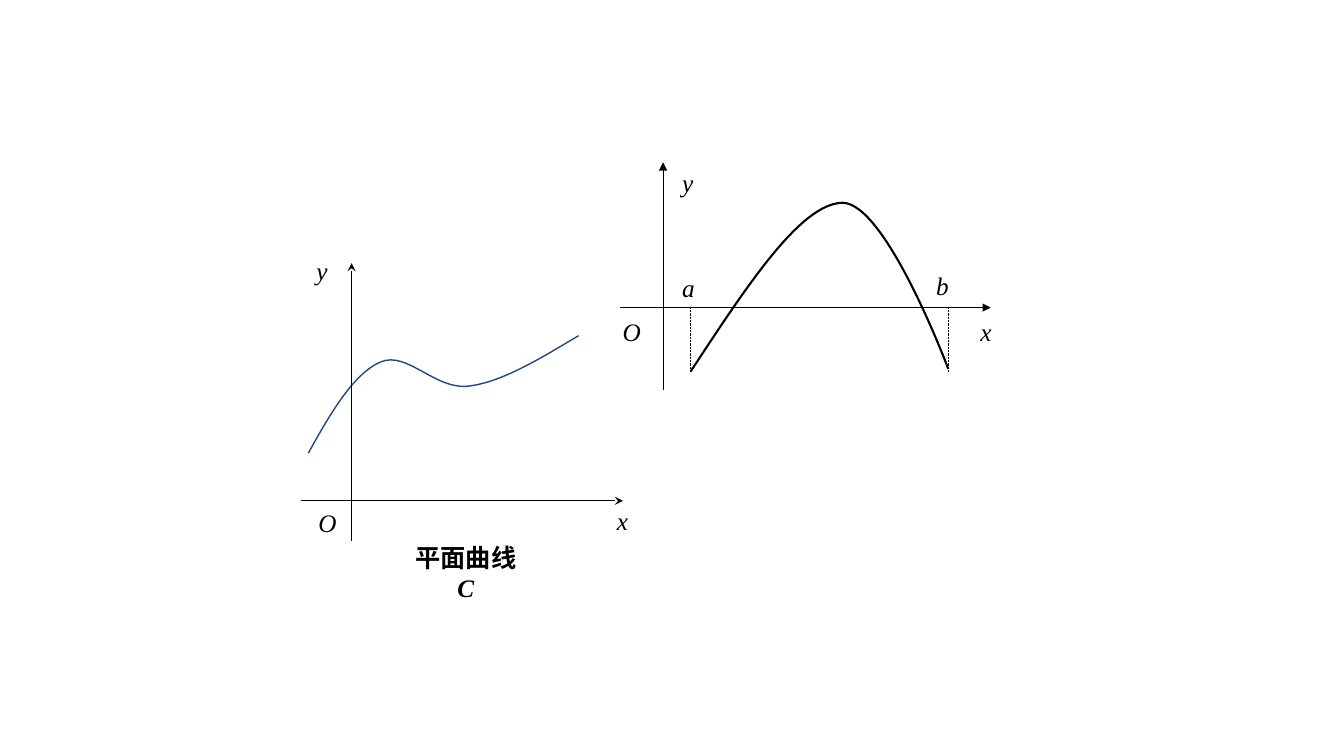
from dataclasses import dataclass
from typing import Optional

from lxml.etree import SubElement
from pptx import Presentation
from pptx.dml.color import RGBColor
from pptx.enum.dml import MSO_LINE
from pptx.enum.shapes import MSO_CONNECTOR
from pptx.enum.text import PP_ALIGN
from pptx.oxml.ns import qn
from pptx.slide import Slide
from pptx.util import Cm, Pt

FONT = "Times New Roman"
BLACK = "000000"
BLUE = "1F497D"
LABEL_HEIGHT = 1.02


@dataclass
class Line:
    start: tuple[float, float]
    end: tuple[float, float]
    weight: float
    arrow: Optional[str] = None
    dotted: bool = False


@dataclass
class Curve:
    """A start point, then three control points for each Bezier segment."""
    points: list[tuple[float, float]]
    color: str
    weight: float


@dataclass
class Run:
    text: str
    italic: bool = True
    bold: bool = False


@dataclass
class Label:
    left: float
    top: float
    width: float
    runs: list[Run]
    centered: bool = False
    wrap: bool = False


def rgb(color: str) -> RGBColor:
    return RGBColor.from_string(color)


def draw_line(slide: Slide, line: Line) -> None:
    ends = [Cm(value) for value in (*line.start, *line.end)]
    connector = slide.shapes.add_connector(MSO_CONNECTOR.STRAIGHT, *ends)
    connector.line.color.rgb = rgb(BLACK)
    connector.line.width = Pt(line.weight)
    if line.dotted:
        connector.line.dash_style = MSO_LINE.ROUND_DOT
    properties = connector.element.spPr
    if line.arrow:
        SubElement(properties.find(qn("a:ln")), qn("a:tailEnd"), type=line.arrow)
    SubElement(properties, qn("a:effectLst"))


def draw_curve(slide: Slide, curve: Curve) -> None:
    start, *controls = [(Cm(x), Cm(y)) for x, y in curve.points]
    builder = slide.shapes.build_freeform(*start)
    builder.add_line_segments(controls, close=False)
    shape = builder.convert_to_shape()
    shape.shadow.inherit = False
    shape.fill.background()
    shape.line.color.rgb = rgb(curve.color)
    shape.line.width = Pt(curve.weight)

    # Turn every three straight segments into one cubic segment
    outline = next(shape.element.iter(qn("a:path")))
    segments = outline.findall(qn("a:lnTo"))
    for first in range(0, len(segments), 3):
        cubic = SubElement(outline, qn("a:cubicBezTo"))
        for segment in segments[first:first + 3]:
            cubic.append(segment[0])
            outline.remove(segment)


def draw_label(slide: Slide, label: Label) -> None:
    box = slide.shapes.add_textbox(
        Cm(label.left), Cm(label.top), Cm(label.width), Cm(LABEL_HEIGHT))
    box.text_frame.word_wrap = label.wrap
    paragraph = box.text_frame.paragraphs[0]
    paragraph.alignment = PP_ALIGN.CENTER if label.centered else PP_ALIGN.LEFT
    for part in label.runs:
        run = paragraph.add_run()
        run.text = part.text
        run.font.name = FONT
        run.font.size = Pt(18)
        run.font.italic = part.italic
        run.font.bold = part.bold
        run.font.color.rgb = rgb(BLACK)


# Left graph: plane curve C
PLANE_LINES = [
    Line((7.59, 12.62), (15.7, 12.62), 0.75, "stealth"),
    Line((8.86, 13.64), (8.86, 6.63), 0.75, "stealth"),
]
PLANE_CURVE = Curve([
    (7.77, 11.42),
    (8.33, 10.41), (8.92, 9.4), (9.6, 9.12),
    (10.26, 8.84), (10.97, 9.83), (11.81, 9.73),
    (12.65, 9.63), (13.61, 9.04), (14.58, 8.46),
], BLUE, 1)
PLANE_LABELS = [
    Label(7.72, 6.32, 0.79, [Run("y")], centered=True),
    Label(15.29, 12.62, 0.79, [Run("x")], centered=True),
    Label(7.77, 12.65, 0.97, [Run("O")], centered=True),
    Label(9.94, 13.54, 3.6,
          [Run("平面曲线 ", italic=False, bold=True), Run("C", bold=True)],
          centered=True, wrap=True),
]

# Right graph: function on the interval from a to b
AXIS_Y = 7.75
A_X, B_X = 17.4, 23.9
CURVE_BOTTOM = 9.37
INTERVAL_LINES = [
    Line((15.62, AXIS_Y), (24.97, AXIS_Y), 0.5, "triangle"),
    Line((16.71, 9.83), (16.71, 4.09), 0.5, "triangle"),
    *[Line((x, CURVE_BOTTOM), (x, AXIS_Y), 0.5, dotted=True) for x in (A_X, B_X)],
]
INTERVAL_CURVE = Curve([
    (A_X, CURVE_BOTTOM),
    (18.8, 7.24), (20.17, 5.13), (21.23, 5.11),
    (22.33, 5.11), (B_X, 9.3), (B_X, 9.3),
], BLACK, 1.5)
INTERVAL_LABELS = [
    Label(24.46, 7.85, 0.79, [Run("x")]),
    Label(16.94, 4.09, 0.79, [Run("y")]),
    Label(15.44, 7.85, 0.97, [Run("O")]),
    Label(16.94, 6.73, 0.84, [Run("a")]),
    Label(23.34, 6.68, 0.84, [Run("b")]),
]


def main() -> None:
    presentation = Presentation()
    presentation.slide_width = Cm(33.87)
    presentation.slide_height = Cm(19.05)
    slide = presentation.slides.add_slide(presentation.slide_layouts[6])

    graphs = [
        (PLANE_LINES, PLANE_CURVE, PLANE_LABELS),
        (INTERVAL_LINES, INTERVAL_CURVE, INTERVAL_LABELS),
    ]
    for lines, curve, labels in graphs:
        draw_curve(slide, curve)
        for line in lines:
            draw_line(slide, line)
        for label in labels:
            draw_label(slide, label)

    presentation.save("out.pptx")


if __name__ == "__main__":
    main()
